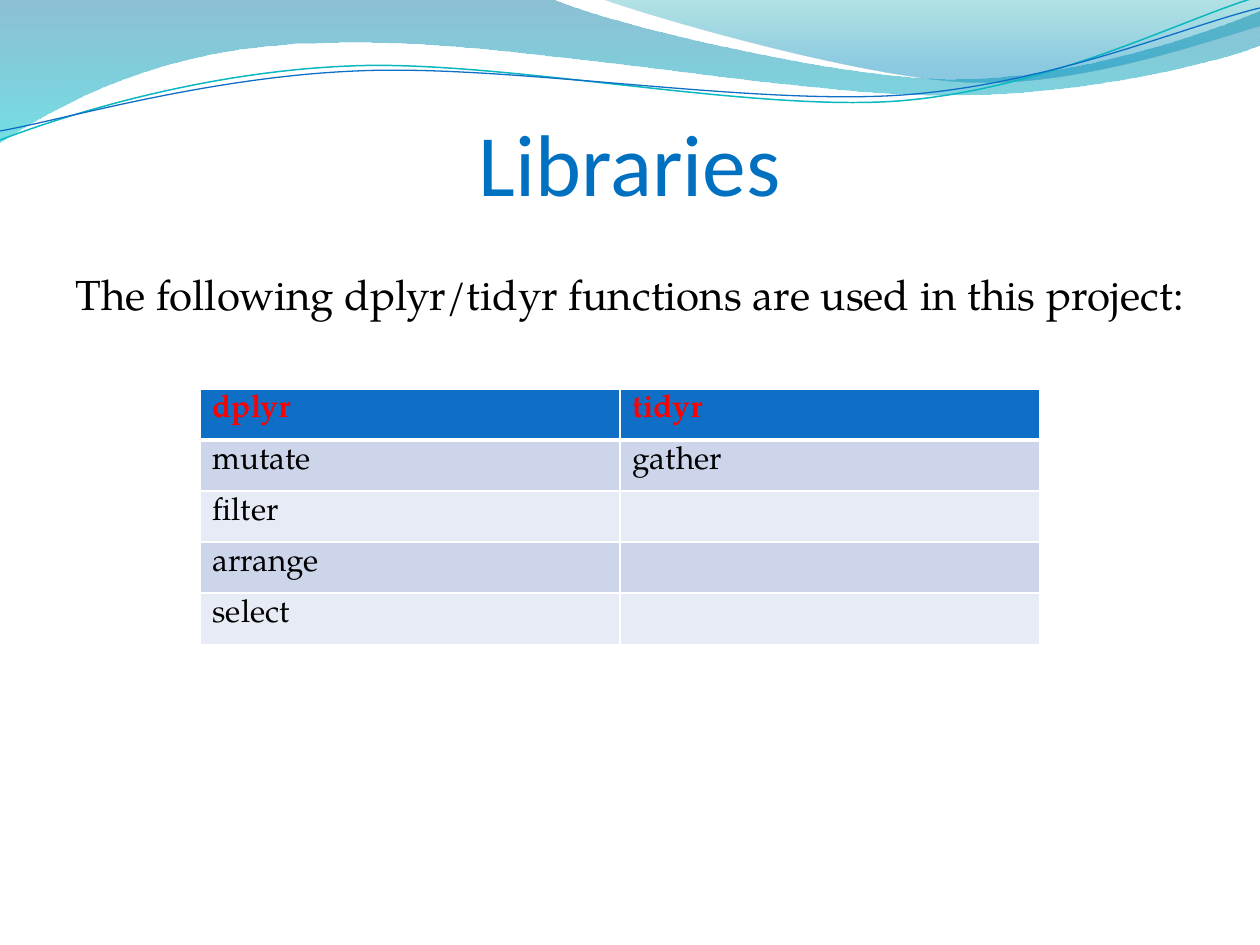
from lxml.etree import SubElement as Sub
from pptx import Presentation
from pptx.dml.color import RGBColor as RGB
from pptx.enum.text import MSO_ANCHOR as Anchor, MSO_AUTO_SIZE as AutoSize, PP_ALIGN as Align
from pptx.oxml.ns import qn
from pptx.util import Pt

EMU_PER_PX = 914400 / 126
HEAD_FONT, BODY_FONT = "Calibri", "TeX Gyre Pagella"
COLORS = {
    "title": "0070C0", "text": "000000", "header_text": "FF0000",
    "header": "0F6FC6", "band_dark": "CCD5EA", "band_light": "E7EBF5",
    "border": "FFFFFF", "teal_line": "0AB8BF", "blue_line": "0F6FC6",
    "wave_top": "0074A1", "wave_bottom": "00C6CF",
    "crest_top": "00A1A9", "crest_bottom": "008BBF",
}

WAVE = [(0, 0), (554, 0), (600, 21, 837, 79, 955, 79), (1075, 79, 1207, 33, 1260, 11),
        (1260, 45), (1239, 55, 1096, 96, 940, 95), (784, 95, 481, 35, 324, 43),
        (163, 45, 58, 105, 0, 142)]
CREST = [(604, 0), (641, 14, 859, 78, 969, 82), (1079, 87, 1211, 40, 1260, 26), (1260, 0)]
TEAL_LINE = [(0, 140), (60, 117, 199, 72, 349, 66), (498, 59, 747, 112, 898, 101),
             (1050, 89, 1182, 19, 1257, -3)]
BLUE_LINE = [(0, 131), (59, 121, 207, 77, 357, 71), (508, 64, 752, 106, 903, 95),
             (1053, 84, 1185, 26, 1260, 8)]

FUNCTIONS = [("dplyr", "tidyr"), ("mutate", "gather"), ("filter", ""), ("arrange", ""), ("select", "")]


def px(length):
    return round(length * EMU_PER_PX)


def color(name):
    return RGB.from_string(COLORS[name])


def write(frame, text, font=BODY_FONT, size=18, ink="text", bold=False, align=Align.LEFT, before=0):
    paragraph = frame.paragraphs[0]
    paragraph.alignment = align
    paragraph.space_before = Pt(before)
    run = paragraph.add_run()
    run.text = text
    run.font.name, run.font.size, run.font.bold = font, Pt(size), bold
    run.font.color.rgb = color(ink)
    return paragraph


def place(placeholder, box):
    placeholder.left, placeholder.top, placeholder.width, placeholder.height = map(px, box)


def add_outline(slide, box, outline, closed):
    anchors = [(px(box[0] + segment[-2]), px(box[1] + segment[-1])) for segment in outline]
    builder = slide.shapes.build_freeform(*anchors[0])
    builder.add_line_segments(anchors[1:], close=closed)
    shape = builder.convert_to_shape()
    shape.shadow.inherit = False
    straight_lines = list(shape._element.spPr.iter(qn("a:lnTo")))
    for straight, segment in zip(straight_lines, outline[1:]):
        if len(segment) == 6:
            curve = straight.makeelement(qn("a:cubicBezTo"))
            for x, y in zip(segment[::2], segment[1::2]):
                Sub(curve, qn("a:pt"), x=str(px(box[0] + x) - shape.left), y=str(px(box[1] + y) - shape.top))
            straight.getparent().replace(straight, curve)
    return shape


def add_wave(slide, box, outline, stops):
    wave = add_outline(slide, box, outline, True)
    wave.line.fill.background()
    wave.fill.gradient()
    wave.fill.gradient_angle = 270
    for stop, (position, name, _) in zip(wave.fill.gradient_stops, stops):
        stop.position = position
        stop.color.rgb = color(name)
    for srgb, (_, _, opacity) in zip(wave._element.spPr.iter(qn("a:srgbClr")), stops):
        Sub(srgb, qn("a:alpha"), val=str(opacity * 1000))


def add_wave_line(slide, box, outline, name, width):
    line = add_outline(slide, box, outline, False)
    line.fill.background()
    line.line.color.rgb = color(name)
    line.line.width = Pt(width)


def add_banner(slide, box):
    add_wave(slide, box, WAVE, [(0, "wave_top", 45), (1, "wave_bottom", 55)])
    add_wave(slide, box, CREST, [(0, "crest_top", 30), (0.8, "crest_bottom", 45)])
    add_wave_line(slide, box, TEAL_LINE, "teal_line", 0.85)
    add_wave_line(slide, box, BLUE_LINE, "blue_line", 0.75)


def fill_title(title, box):
    place(title, box)
    frame = title.text_frame
    frame.auto_size = AutoSize.NONE
    frame.vertical_anchor = Anchor.BOTTOM
    frame.margin_left = frame.margin_right = frame.margin_bottom = 0
    write(frame, "Libraries", font=HEAD_FONT, size=50, ink="title", align=Align.CENTER)


def fill_intro(body, box):
    place(body, box)
    body.text_frame.auto_size = AutoSize.NONE
    intro = write(body.text_frame, "The following dplyr/tidyr functions are used in this project:",
                  size=24, before=5)
    properties = intro._p.get_or_add_pPr()
    properties.set("marL", str(px(38)))
    properties.set("indent", str(px(-38)))
    Sub(properties, qn("a:buNone"))


def set_borders(cell, widths):
    properties = cell._tc.get_or_add_tcPr()
    for side, width in zip("LRTB", widths):
        line = Sub(properties, qn(f"a:ln{side}"), w=str(Pt(width)))
        Sub(Sub(line, qn("a:solidFill")), qn("a:srgbClr"), val=COLORS["border"])


def add_function_table(slide, box):
    table = slide.shapes.add_table(len(FUNCTIONS), len(FUNCTIONS[0]), *map(px, box)).table
    for r, names in enumerate(FUNCTIONS):
        header = r == 0
        fill = "header" if header else "band_dark" if r % 2 else "band_light"
        for c, name in enumerate(names):
            cell = table.cell(r, c)
            set_borders(cell, (1, 1, 3 if r == 1 else 1, 3 if header else 1))
            cell.fill.solid()
            cell.fill.fore_color.rgb = color(fill)
            if name:
                write(cell.text_frame, name, ink="header_text" if header else "text", bold=header)


def build_slide(deck):
    slide = deck.slides.add_slide(deck.slide_layouts[1])
    title, body = slide.placeholders
    add_banner(slide, (0, 0, 1260, 142))
    for placeholder in (title, body):
        slide.shapes._spTree.append(placeholder._element)
    fill_title(title, (63, 94, 1134, 120))
    fill_intro(body, (63, 262, 1144, 567))
    add_function_table(slide, (200, 389, 840, 255))


def main():
    deck = Presentation()
    deck.slide_width, deck.slide_height = px(1260), px(945)
    build_slide(deck)
    deck.save("out.pptx")


if __name__ == "__main__":
    main()
